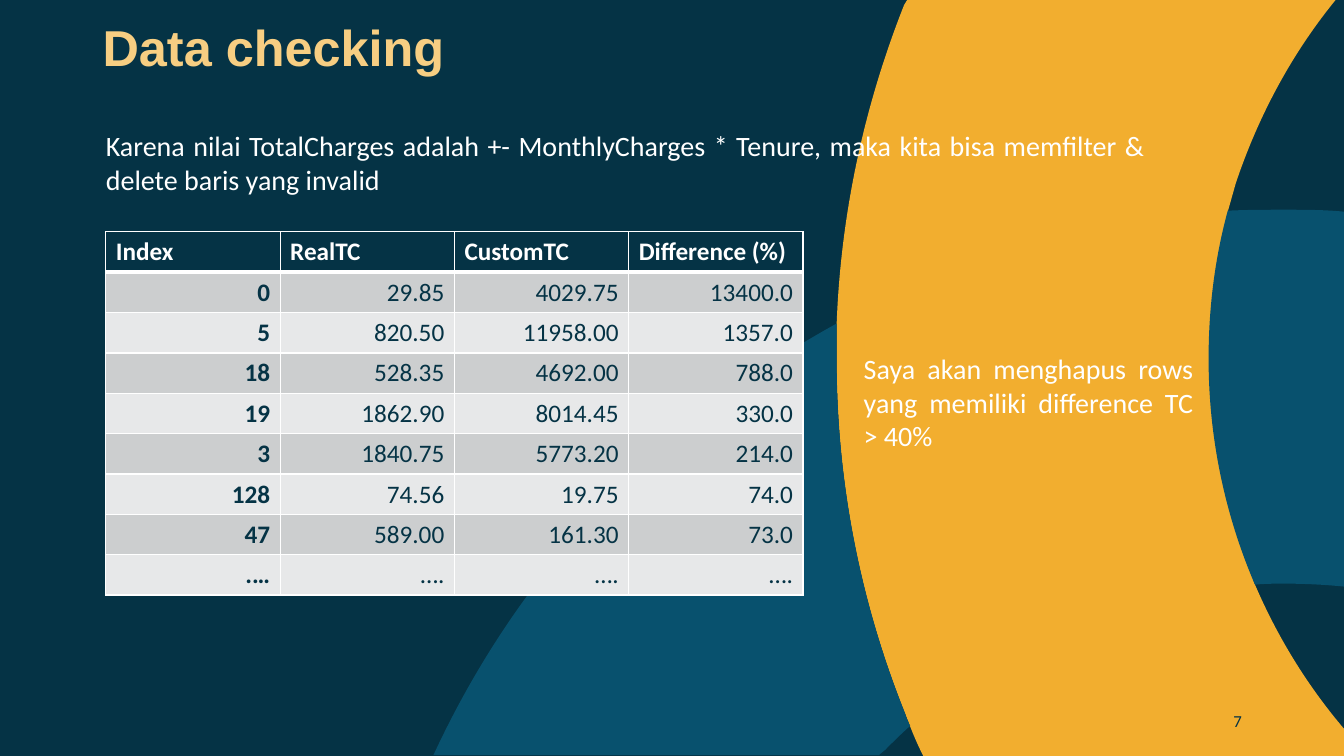
from lxml import etree
from pptx import Presentation
from pptx.dml.color import RGBColor
from pptx.enum.text import MSO_ANCHOR as Anchor, MSO_AUTO_SIZE as AutoSize, PP_ALIGN as Align
from pptx.oxml.ns import qn
from pptx.util import Pt

NAVY, TEAL, AMBER, SAND, WHITE = "053345", "08516E", "F2AE2F", "F7CE82", "FFFFFF"
BANDS = ("CCCECF", "E7E8E9")

AMBER_CRESCENT = [[
    (648, 0), (954, 0), (922.3, 38.9, 898.6, 83.5, 882.7, 131),
    (877, 151.2), (877, 153.4), (875.5, 164.9),
    (870, 232.6, 881.3, 344.2, 893.5, 405.4), (895.7, 416.2),
    (896.4, 417.6), (912.2, 454.3, 933.1, 488.9, 960, 520.6),
    (960, 540), (659.5, 540), (655.9, 532.8, 653, 526.3, 650.2, 519.1),
    (649.4, 517), (646.6, 509.8), (614.2, 429.1, 597.6, 344.2, 597.6, 256.3),
    (597.6, 237.6), (597.6, 231.8), (600.5, 153.4, 617, 76.3, 645.8, 3.6),
    (646.6, 2.2, 647.3, 1.4, 648, 0),
]]
TEAL_RINGS = [
    [
        (863.3, 256.3), (863.3, 220.3, 867.6, 185, 877, 150.5),
        (890.6, 149.8, 904.3, 149.8, 918, 149.8),
        (931.7, 149.8, 946.1, 149.8, 960, 151.2), (960, 419),
        (946.1, 417.6, 931.7, 416.9, 918, 416.9),
        (910.8, 416.9, 903.6, 416.9, 896.4, 417.6),
        (874.8, 367.2, 863.3, 312.5, 863.3, 256.3),
    ],
    [
        (632.2, 535.7), (637.9, 529.9, 643.7, 524.2, 650.2, 518.4),
        (648.7, 515.5, 647.3, 512.6, 646.6, 509.8),
        (614.2, 429.1, 597.6, 343.4, 597.6, 256.3),
        (597.6, 247.7, 597.6, 239.8, 597.6, 231.1),
        (541.4, 262.1, 489.6, 300.2, 444.2, 347),
        (387.4, 403.2, 342.7, 468, 309.6, 539.3), (627.8, 539.3),
        (629.3, 537.8, 630.7, 537.1, 632.2, 535.7),
    ],
]
CHARGES = [
    ("Index", "RealTC", "CustomTC", "Difference (%)"),
    ("0", "29.85", "4029.75", "13400.0"),
    ("5", "820.50", "11958.00", "1357.0"),
    ("18", "528.35", "4692.00", "788.0"),
    ("19", "1862.90", "8014.45", "330.0"),
    ("3", "1840.75", "5773.20", "214.0"),
    ("128", "74.56", "19.75", "74.0"),
    ("47", "589.00", "161.30", "73.0"),
    (".…", "….", "….", "…."),
]


def color(value):
    return RGBColor.from_string(value)


def fill_solid(target, value):
    target.fill.solid()
    target.fill.fore_color.rgb = color(value)


def style_text(paragraph, size, value, font="Calibri", bold=False, align=Align.LEFT):
    paragraph.alignment = align
    paragraph.font.name = font
    paragraph.font.size = Pt(size)
    paragraph.font.bold = bold
    paragraph.font.color.rgb = color(value)


def bend_segments(shape, contours):
    segments = [segment for contour in contours for segment in contour[1:]]
    lines = list(shape._element.iter(qn("a:lnTo")))
    for line, segment in zip(lines, segments):
        if len(segment) == 2:
            continue
        curve = etree.Element(qn("a:cubicBezTo"))
        for x, y in zip(segment[::2], segment[1::2]):
            etree.SubElement(curve, qn("a:pt"), x=str(Pt(x) - shape.left),
                             y=str(Pt(y) - shape.top))
        line.getparent().replace(line, curve)


def add_outline(slide, contours, value):
    first, *others = [[(Pt(segment[-2]), Pt(segment[-1])) for segment in contour]
                      for contour in contours]
    builder = slide.shapes.build_freeform(*first[0], scale=1.0)
    builder.add_line_segments(first[1:], close=True)
    for points in others:
        builder.move_to(*points[0])
        builder.add_line_segments(points[1:], close=True)
    shape = builder.convert_to_shape()
    bend_segments(shape, contours)
    shape.shadow.inherit = False
    fill_solid(shape, value)
    shape.line.fill.background()


def add_text(slide, box, text, size, value, left_inset=0, right_inset=0,
             anchor=Anchor.TOP, spacing=None, grow=False, **style):
    shape = slide.shapes.add_textbox(*map(Pt, box))
    frame = shape.text_frame
    frame.word_wrap = True
    frame.vertical_anchor = anchor
    frame.margin_left = Pt(left_inset)
    frame.margin_right = Pt(right_inset)
    if grow:
        frame.auto_size = AutoSize.SHAPE_TO_FIT_TEXT
    paragraph = frame.paragraphs[0]
    paragraph.text = text
    if spacing:
        paragraph.line_spacing = spacing
    style_text(paragraph, size, value, **style)


def set_borders(cell, **widths):
    properties = cell._tc.get_or_add_tcPr()
    for position, side in enumerate("LRTB"):
        line = etree.Element(qn(f"a:ln{side}"), w=str(Pt(widths.get(side, 1))))
        solid = etree.SubElement(line, qn("a:solidFill"))
        etree.SubElement(solid, qn("a:srgbClr"), val=WHITE)
        properties.insert(position, line)


def add_charges_table(slide, left, top, column_width, row_height):
    row_count, column_count = len(CHARGES), len(CHARGES[0])
    table = slide.shapes.add_table(
        row_count, column_count, Pt(left), Pt(top),
        Pt(column_width * column_count), Pt(row_height * row_count)).table
    for row, values in enumerate(CHARGES):
        for column, value in enumerate(values):
            cell = table.cell(row, column)
            cell.text = value
            paragraph = cell.text_frame.paragraphs[0]
            if row == 0:
                fill_solid(cell, NAVY)
                style_text(paragraph, 18, WHITE, bold=True)
                set_borders(cell, B=3)
            else:
                fill_solid(cell, BANDS[(row - 1) % 2])
                cell.vertical_anchor = Anchor.MIDDLE
                style_text(paragraph, 18, NAVY, bold=column == 0, align=Align.RIGHT)
                set_borders(cell, T=3 if row == 1 else 1)


def main():
    presentation = Presentation()
    presentation.slide_width, presentation.slide_height = Pt(960), Pt(540)
    slide = presentation.slides.add_slide(presentation.slide_layouts[6])
    fill_solid(slide.background, NAVY)
    add_outline(slide, AMBER_CRESCENT, AMBER)
    add_outline(slide, TEAL_RINGS, TEAL)
    add_text(slide, (678.2, 500.4, 216, 28.8), "7", 12, NAVY, left_inset=7.2,
             right_inset=7.2, anchor=Anchor.MIDDLE, align=Align.RIGHT)
    add_text(slide, (66.2, 13, 370.8, 58.3), "Data checking", 36, SAND,
             left_inset=7.2, spacing=0.9, font="Arial", bold=True)
    add_text(slide, (75.6, 88.6, 742.3, 55.4),
             "Karena nilai TotalCharges adalah +- MonthlyCharges * Tenure, "
             "maka kita bisa memfilter & delete baris yang invalid",
             20, WHITE, grow=True, align=Align.JUSTIFY)
    add_charges_table(slide, 75.6, 165.6, 124.5, 28.8)
    add_text(slide, (617, 247.7, 235.4, 79.9),
             "Saya akan menghapus rows yang memiliki difference TC > 40%",
             20, WHITE, grow=True, align=Align.JUSTIFY)
    presentation.save("out.pptx")


if __name__ == "__main__":
    main()
